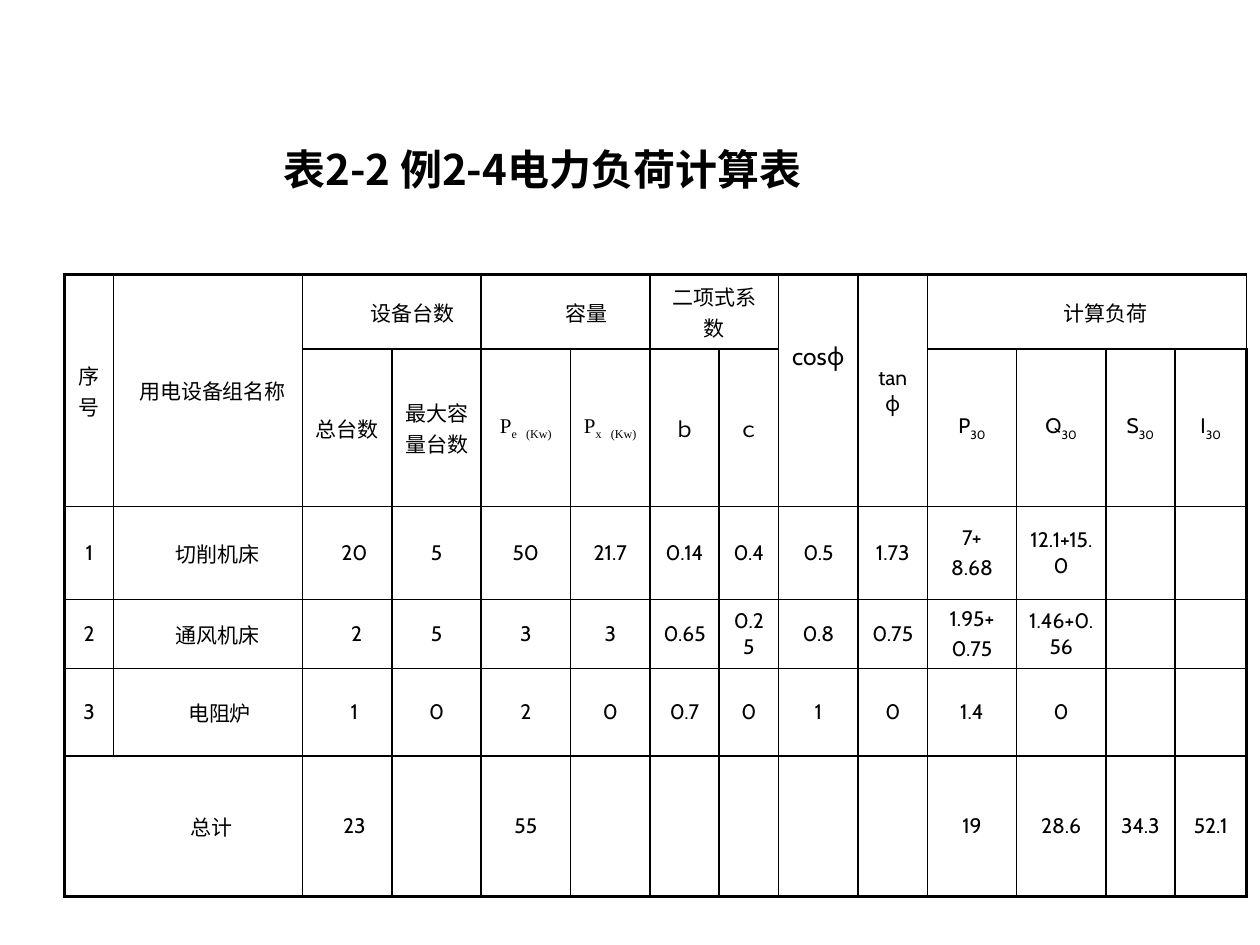
from lxml import etree
from pptx import Presentation
from pptx.dml.color import RGBColor
from pptx.enum.text import MSO_ANCHOR, PP_ALIGN
from pptx.oxml.ns import qn
from pptx.util import Pt

MID, LOW = MSO_ANCHOR.MIDDLE, MSO_ANCHOR.BOTTOM
CENTER = PP_ALIGN.CENTER
COLORS = {"ink": "000000"}
LATIN, HAN, SERIF = "Cabin", "Noto Sans CJK SC", "Times New Roman"


def add_run(para, text, size, face, sub=False, bold=False):
    run = para.add_run()
    run.text = text
    font = run.font
    font.size, font.name, font.bold = Pt(size), face, bold
    font.color.rgb = RGBColor.from_string(COLORS["ink"])
    props = run._r.get_or_add_rPr()
    etree.SubElement(props, qn("a:ea")).set("typeface", HAN)
    if sub:
        props.set("baseline", "-25000")
    return props


def add_edge(cell, side, width):
    props = cell._tc.get_or_add_tcPr()
    line = etree.SubElement(props, qn("a:ln" + side), w=str(Pt(width)))
    fill = etree.SubElement(line, qn("a:solidFill"))
    etree.SubElement(fill, qn("a:srgbClr"), val=COLORS["ink"])


prs = Presentation()
prs.slide_width, prs.slide_height = Pt(720), Pt(540)
slide = prs.slides.add_slide(prs.slide_layouts[6])

# Title
box = slide.shapes.add_textbox(Pt(106.5), Pt(65.5), Pt(613.5), Pt(49))
frame = box.text_frame
frame.word_wrap = True
frame.vertical_anchor = LOW
frame.margin_left = Pt(55.5)
add_run(frame.paragraphs[0], "表2-2 例2-4电力负荷计算表", 24, HAN, bold=True)

# Table grid
widths = [28, 108, 51, 51, 51, 45.5, 39.5, 34, 45.5, 39.5, 51, 51, 39.5, 41]
heights = [42.5, 90, 53, 39.5, 50, 80.5]
rows, cols = len(heights), len(widths)
table = slide.shapes.add_table(rows, cols, Pt(37), Pt(157),
                               Pt(sum(widths)), Pt(sum(heights))).table
table.first_row = table.horz_banding = False
for col, width in zip(table.columns, widths):
    col.width = Pt(width)
for row, height in zip(table.rows, heights):
    row.height = Pt(height)

# Merged headings and total: row, column, last row, last column
for top, left, end, last in [(0, 0, 1, 0), (0, 1, 1, 1), (0, 2, 0, 3),
                             (0, 4, 0, 5), (0, 6, 0, 7), (0, 8, 1, 8),
                             (0, 9, 1, 9), (0, 10, 0, 13), (5, 0, 5, 1)]:
    table.cell(top, left).merge(table.cell(end, last))

# An underscore starts a subscript, a newline starts a paragraph
data = [
    ["序号", "用电设备组名称", "设备台数", "", "容量", "", "二项式系数", "",
     "cosϕ", "tanϕ", "计算负荷", "", "", ""],
    ["", "", "总台数", "最大容量台数", "P_e (Kw)", "P_x (Kw)", "ｂ", "ｃ",
     "", "", "P_30", "Q_30", "S_30", "I_30"],
    ["1", "切削机床", "20", "5", "50", "21.7", "0.14", "0.4", "0.5", "1.73",
     "7+\n8.68", "12.1+15.0", "", ""],
    ["2", "通风机床", "2", "5", "3", "3", "0.65", "0.25", "0.8", "0.75",
     "1.95+\n0.75", "1.46+0.56", "", ""],
    ["3", "电阻炉", "1", "0", "2", "0", "0.7", "0", "1", "0",
     "1.4", "0", "", ""],
    ["总计", "", "23", "", "55", "", "", "", "", "", "19", "28.6", "34.3", "52.1"],
]

# Extra left inset of cells set off centre
insets = {(0, 1): 5, (0, 2): 23.5, (0, 4): 23.5, (0, 10): 21,
          (2, 1): 10.5, (3, 1): 10.5, (4, 1): 13, (5, 0): 31.5,
          (2, 2): 8, (3, 2): 10.5, (4, 2): 8, (5, 2): 8}

# Cells
for r, line in enumerate(data):
    for c, text in enumerate(line):
        cell = table.cell(r, c)
        cell.vertical_anchor = MID
        cell.margin_left = Pt(7.2 + insets.get((r, c), 0))
        if text == "cosϕ":
            cell.margin_bottom = Pt(42)
        add_edge(cell, "L", 2.25 if c == 0 else 1)
        add_edge(cell, "R", 2.25 if c == cols - 1 else 1)
        add_edge(cell, "T", 2.25 if r == 0 else 1)
        add_edge(cell, "B", 2.25 if r == rows - 1 else 1)
        cell.fill.background()
        if not text:
            continue
        size = 14 if text == "cosϕ" else 12
        face = SERIF if "Kw" in text else LATIN
        for i, part in enumerate(text.split("\n")):
            para = cell.text_frame.paragraphs[0] if i == 0 else cell.text_frame.add_paragraph()
            para.alignment = CENTER
            if i:
                para.space_before = Pt(2.4)
            base, mark, sub = part.partition("_")
            add_run(para, base, size, face)
            if mark:
                index, gap, unit = sub.partition(" ")
                add_run(para, index, size, face, sub=True)
                if gap:
                    add_run(para, gap, size, face, sub=True).set("spc", "350")
                    add_run(para, unit, size, face, sub=True)

prs.save("out.pptx")
